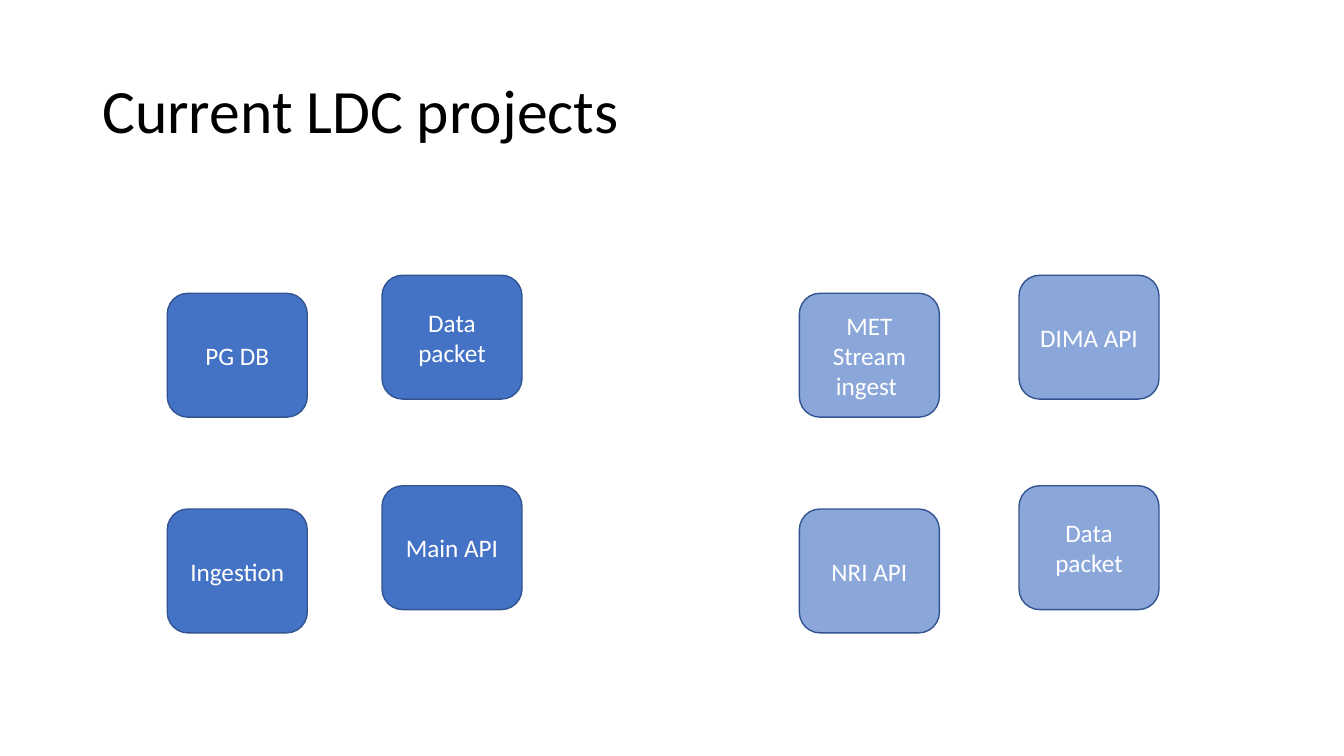
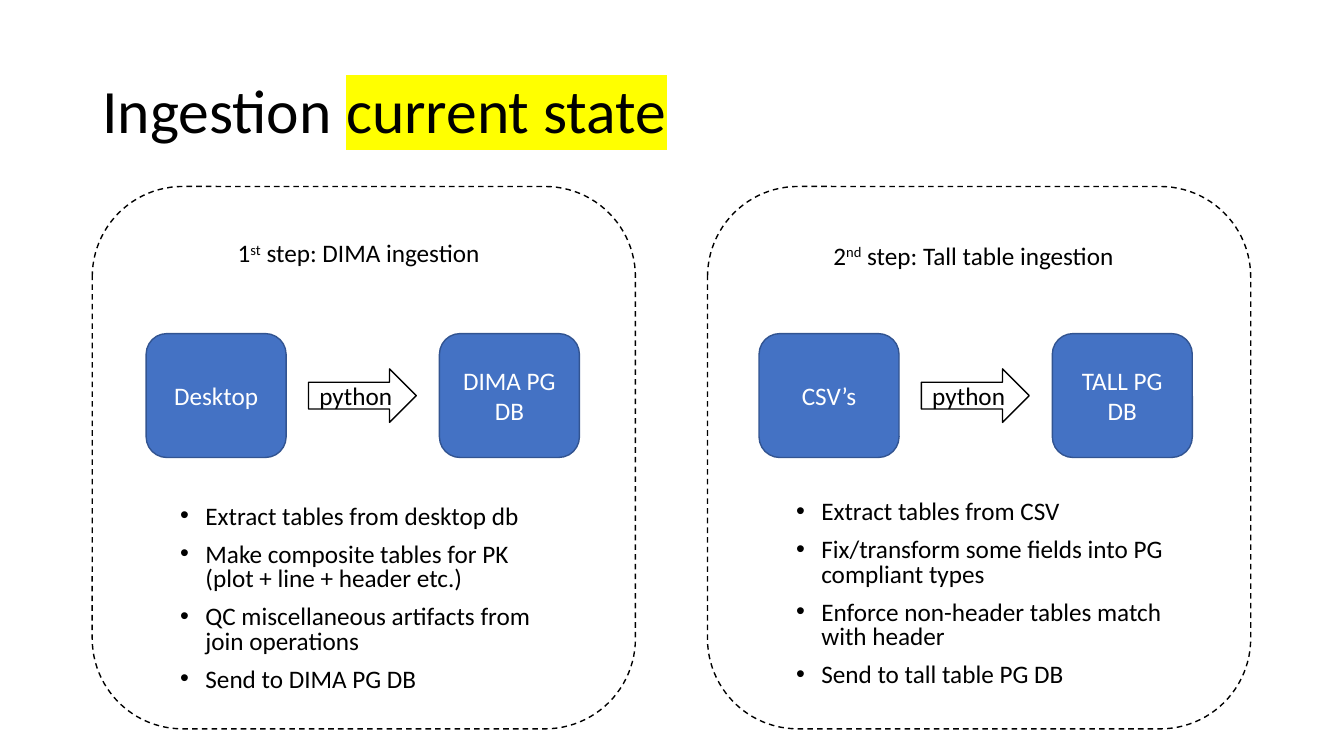
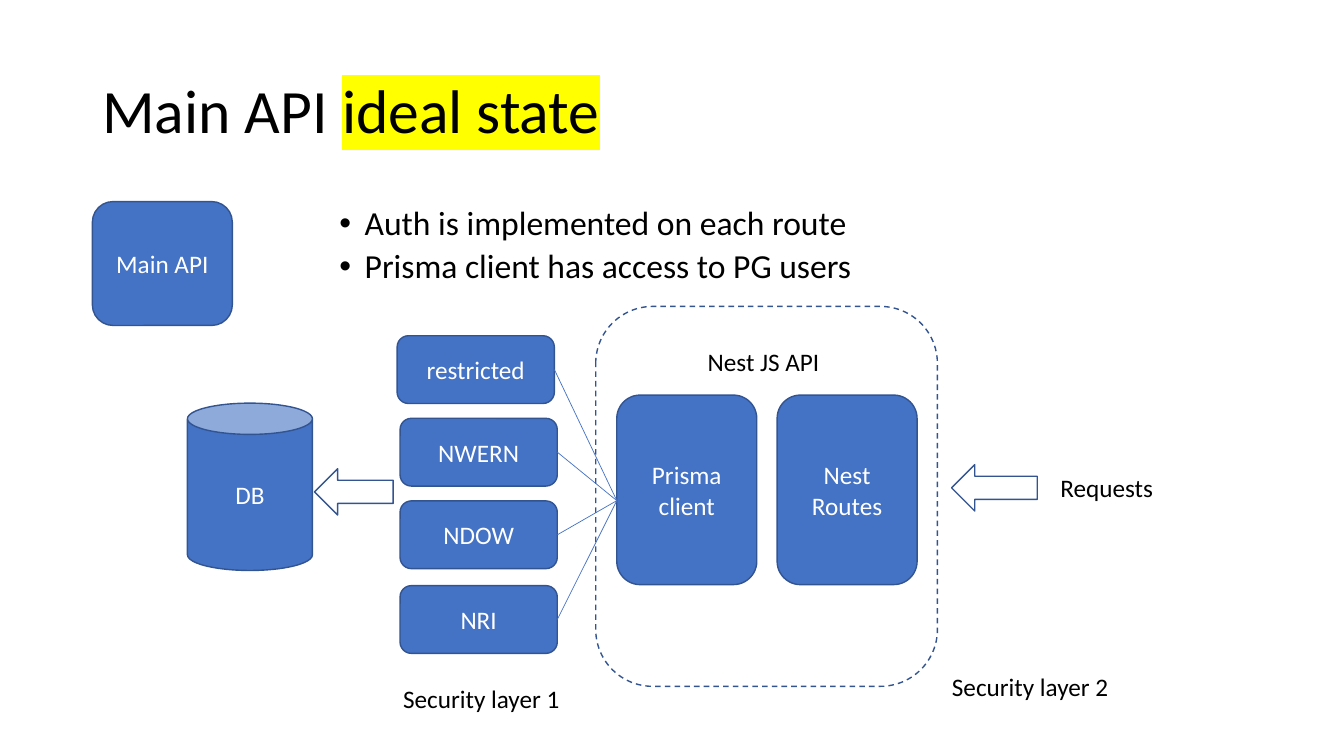
from dataclasses import dataclass

from lxml import etree
from pptx import Presentation
from pptx.dml.color import RGBColor
from pptx.enum.dml import MSO_LINE
from pptx.enum.shapes import MSO_CONNECTOR, MSO_SHAPE
from pptx.enum.text import MSO_ANCHOR, PP_ALIGN
from pptx.oxml.ns import qn
from pptx.shapes.autoshape import Shape
from pptx.slide import Slide
from pptx.text.text import TextFrame, _Run
from pptx.util import Pt

ROUNDED = MSO_SHAPE.ROUNDED_RECTANGLE
CAN = MSO_SHAPE.CAN
RIGHT_ARROW = MSO_SHAPE.RIGHT_ARROW
LEFT_ARROW = MSO_SHAPE.LEFT_ARROW
STRAIGHT = MSO_CONNECTOR.STRAIGHT
DASH = MSO_LINE.DASH
MIDDLE = MSO_ANCHOR.MIDDLE
TOP = MSO_ANCHOR.TOP
CENTER = PP_ALIGN.CENTER
LEFT = PP_ALIGN.LEFT

COLORS = {
    "blue": "4472C4",
    "outline": "325491",
    "black": "000000",
    "white": "FFFFFF",
    "highlight": "FFFF00",
}
FONT = "Calibri"
BODY_SIZE = 18
TITLE_SIZE = 44
BOX_WIDTH, BOX_HEIGHT = 100, 88.5
LABEL_HEIGHT = 61.2


@dataclass(frozen=True)
class Area:
    left: float
    top: float
    width: float = BOX_WIDTH
    height: float = BOX_HEIGHT


@dataclass(frozen=True)
class Block:
    text: str
    area: Area
    kind: int = ROUNDED
    fill: str = "blue"
    outline: str = "outline"
    color: str = "white"
    opacity: int = 100
    dashed: bool = False


@dataclass(frozen=True)
class BulletStyle:
    size: float
    indent: float
    line_spacing: float
    space_before: float


@dataclass(frozen=True)
class Step:
    panel_left: float
    box_left: float
    number: str
    ordinal: str
    heading: str
    heading_area: Area
    source: str
    target: str
    bullets: tuple[str, ...]
    bullet_area: Area


def rgb(name: str) -> RGBColor:
    return RGBColor.from_string(COLORS[name])


def style_run(run: _Run, size: float = BODY_SIZE, color: str = "black") -> None:
    run.font.size = Pt(size)
    run.font.color.rgb = rgb(color)
    run.font.name = FONT


def style_frame(frame: TextFrame, size: float, color: str, align: int) -> None:
    for paragraph in frame.paragraphs:
        paragraph.alignment = align
        for run in paragraph.runs:
            style_run(run, size, color)


def highlight_run(run: _Run) -> None:
    fill = run.font._element.find(qn("a:solidFill"))
    highlight = etree.Element(qn("a:highlight"))
    etree.SubElement(highlight, qn("a:srgbClr"), val=COLORS["highlight"])
    fill.addnext(highlight)


def add_text(slide: Slide, text: str, area: Area, size: float = BODY_SIZE,
             align: int = LEFT, anchor: int = TOP) -> TextFrame:
    box = slide.shapes.add_textbox(
        Pt(area.left), Pt(area.top), Pt(area.width), Pt(area.height))
    frame = box.text_frame
    frame.word_wrap = True
    frame.vertical_anchor = anchor
    frame.text = text
    style_frame(frame, size, "black", align)
    return frame


def add_label(slide: Slide, text: str, area: Area) -> None:
    add_text(slide, text, area, align=CENTER, anchor=MIDDLE)


def add_title(slide: Slide, text: str, highlighted: str = "") -> None:
    frame = add_text(slide, text, Area(66, 28.8, 828, 104.4), TITLE_SIZE, anchor=MIDDLE)
    paragraph = frame.paragraphs[0]
    paragraph.line_spacing = 0.9
    if highlighted:
        run = paragraph.add_run()
        run.text = highlighted
        style_run(run, TITLE_SIZE)
        highlight_run(run)


def add_block(slide: Slide, block: Block) -> Shape:
    area = block.area
    shape = slide.shapes.add_shape(
        block.kind, Pt(area.left), Pt(area.top), Pt(area.width), Pt(area.height))
    shape.shadow.inherit = False
    if block.fill:
        shape.fill.solid()
        shape.fill.fore_color.rgb = rgb(block.fill)
        if block.opacity < 100:
            color = shape.fill._xPr.find(qn("a:solidFill"))[0]
            etree.SubElement(color, qn("a:alpha"), val=str(block.opacity * 1000))
    else:
        shape.fill.background()
    shape.line.color.rgb = rgb(block.outline)
    shape.line.width = Pt(1)
    if block.dashed:
        shape.line.dash_style = DASH
    if block.text:
        shape.text_frame.text = block.text
        style_frame(shape.text_frame, BODY_SIZE, block.color, CENTER)
    return shape


def add_bullets(slide: Slide, lines: tuple[str, ...], area: Area, style: BulletStyle) -> None:
    frame = add_text(slide, "\n".join(lines), area, style.size)
    for index, paragraph in enumerate(frame.paragraphs):
        properties = paragraph._p.get_or_add_pPr()
        properties.set("marL", str(Pt(style.indent)))
        properties.set("indent", str(Pt(-18)))
        etree.SubElement(properties, qn("a:buFont"), typeface="Arial")
        etree.SubElement(properties, qn("a:buChar"), char="•")
        paragraph.line_spacing = style.line_spacing
        paragraph.space_before = Pt(style.space_before if index else 0)


def add_line(slide: Slide, start: tuple[float, float], end: tuple[float, float]) -> None:
    connector = slide.shapes.add_connector(
        STRAIGHT, Pt(start[0]), Pt(start[1]), Pt(end[0]), Pt(end[1]))
    connector.line.color.rgb = rgb("blue")
    connector.line.width = Pt(0.5)
    etree.SubElement(connector._element.spPr, qn("a:effectLst"))


def add_step(slide: Slide, step: Step) -> None:
    box_top = 238.3
    add_block(slide, Block("", Area(step.panel_left, 133.2, 388, 387.4),
                           fill="", outline="black", dashed=True))
    add_block(slide, Block(step.source, Area(step.box_left, box_top)))
    add_block(slide, Block("python", Area(step.box_left + 116, 263.5, 77, 38.2),
                           RIGHT_ARROW, "white", "black", "black"))
    add_block(slide, Block(step.target, Area(step.box_left + 209.5, box_top)))
    heading = add_text(slide, step.number, step.heading_area).paragraphs[0]
    for text, baseline in ((step.ordinal, "30000"), (step.heading, "0")):
        run = heading.add_run()
        run.text = text
        style_run(run)
        run.font._element.set("baseline", baseline)
    add_bullets(slide, step.bullets, step.bullet_area, BulletStyle(BODY_SIZE, 18, 0.8, 10))


def build_projects(slide: Slide) -> None:
    add_title(slide, "Current LDC projects")
    outer_rows, inner_rows = (209.5, 363.6), (196.6, 347)
    columns = (
        (119.5, outer_rows, 100, ("PG DB", "Ingestion")),
        (272.9, inner_rows, 100, ("Data packet", "Main API")),
        (571, outer_rows, 62, ("MET\nStream ingest ", "NRI API")),
        (727.9, inner_rows, 62, ("DIMA API", "Data packet")),
    )
    for left, rows, opacity, names in columns:
        for top, name in zip(rows, names):
            add_block(slide, Block(name, Area(left, top), opacity=opacity))


def build_ingestion(slide: Slide) -> None:
    add_title(slide, "Ingestion ", "current state")
    steps = (
        Step(65.9, 104.4, "1", "st", " step: DIMA ingestion", Area(162.7, 166.3, 210, 29),
             "Desktop", "DIMA PG DB",
             ("Extract tables from desktop db",
              "Make composite tables for PK (plot + line + header etc.)",
              "QC miscellaneous artifacts from join operations",
              "Send to DIMA PG DB"),
             Area(121.7, 357.8, 276.5, 153.4)),
        Step(505.4, 542.2, "2", "nd", " step: Tall table ingestion", Area(588.2, 167.8, 235, 29),
             "CSV’s", "TALL PG DB",
             ("Extract tables from CSV",
              "Fix/transform some fields into PG compliant types",
              "Enforce non-header tables match with header",
              "Send to tall table PG DB"),
             Area(561.6, 354.6, 276.5, 153.4)),
    )
    for step in steps:
        add_step(slide, step)


def build_main_api(slide: Slide) -> None:
    add_title(slide, "Main API ", "ideal state")
    add_bullets(slide,
                ("Auth is implemented on each route", "Prisma client has access to PG users"),
                Area(199.4, 144, 694.8, 72), BulletStyle(24, 54, 0.9, 5))
    add_block(slide, Block("Main API", Area(66, 144)))
    add_block(slide, Block("DB", Area(133.9, 288, 89.3, 119.5), CAN))
    add_block(slide, Block("", Area(425.5, 218.9, 244.1, 271.4), fill="", dashed=True))
    for name, left in (("Prisma client", 440.6), ("Nest Routes", 555.1)):
        add_block(slide, Block(name, Area(left, 282.2, BOX_WIDTH, 135.4)))

    user_width, user_height = 112.3, 48.4
    users = (("restricted", 283.7, 239.8), ("NWERN", 285.8, 298.8),
             ("NDOW", 285.8, 357.8), ("NRI", 285.8, 418.3))
    for name, left, top in users:
        add_block(slide, Block(name, Area(left, top, user_width, user_height)))
        add_line(slide, (left + user_width, top + user_height / 2), (440.6, 357.6))

    for area in (Area(679.7, 331.9, 61.2, 33.1), Area(224.6, 334.8, 56.2, 33.1)):
        add_block(slide, Block("", area, LEFT_ARROW, fill=""))

    labels = (
        ("Security layer 1", Area(166.3, 468, 355, LABEL_HEIGHT)),
        ("Security layer 2", Area(633.6, 459.4, 204.5, LABEL_HEIGHT)),
        ("Requests", Area(691.9, 317.5, 197.3, LABEL_HEIGHT)),
        ("Nest JS API", Area(485.4, 227.5, 120, LABEL_HEIGHT)),
    )
    for text, area in labels:
        add_label(slide, text, area)


def main() -> None:
    presentation = Presentation()
    presentation.slide_width = Pt(960)
    presentation.slide_height = Pt(540)
    blank_layout = presentation.slide_layouts[6]
    for build in (build_projects, build_ingestion, build_main_api):
        build(presentation.slides.add_slide(blank_layout))
    presentation.save("out.pptx")


if __name__ == "__main__":
    main()
